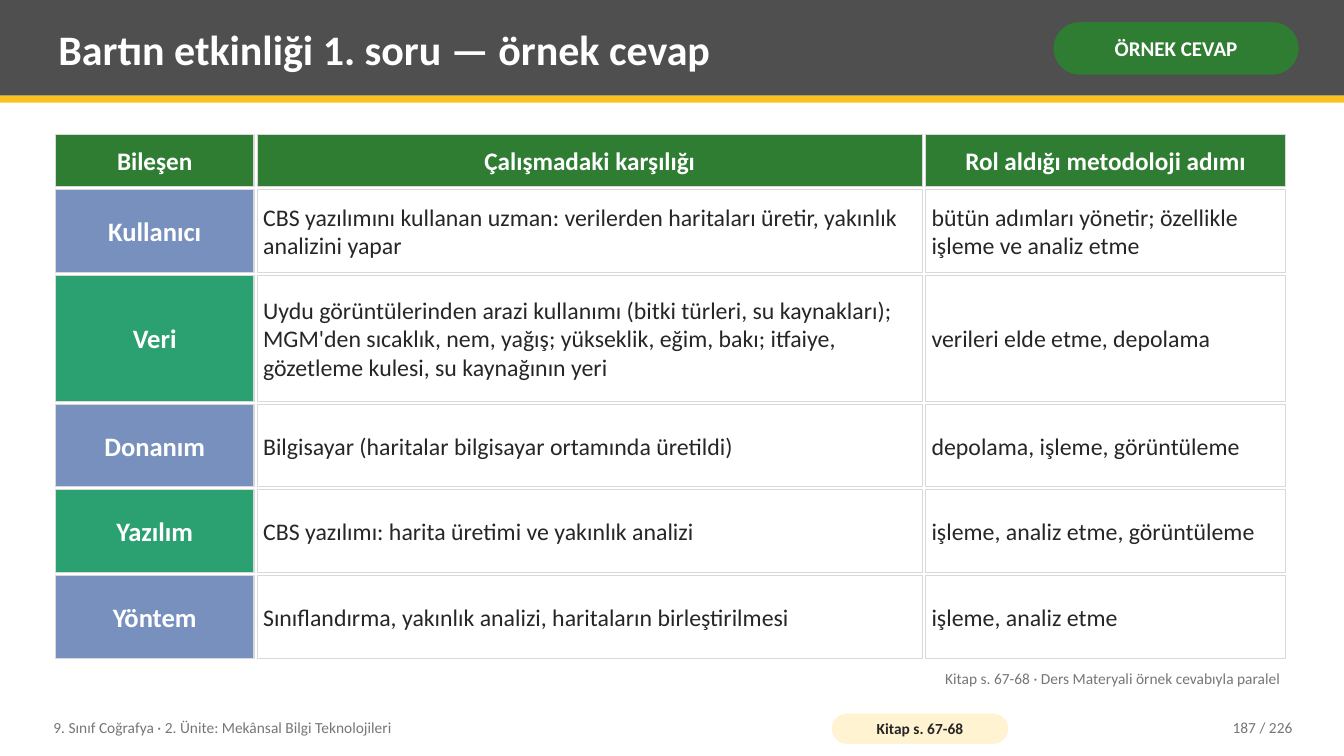
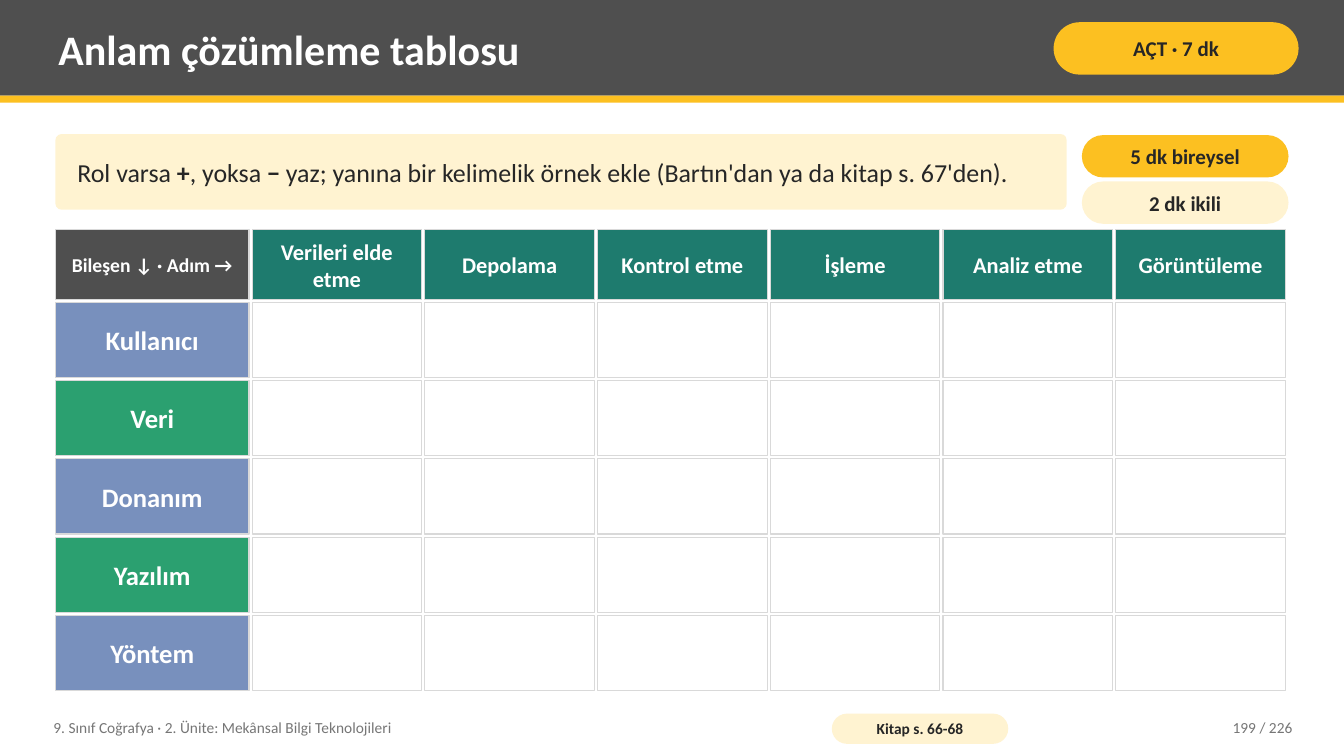
from itertools import accumulate

from pptx import Presentation
from pptx.dml.color import RGBColor
from pptx.enum.shapes import MSO_SHAPE
from pptx.enum.text import MSO_ANCHOR, PP_ALIGN
from pptx.util import Emu, Pt

RECT, ROUNDED = MSO_SHAPE.RECTANGLE, MSO_SHAPE.ROUNDED_RECTANGLE
TOP, MIDDLE = MSO_ANCHOR.TOP, MSO_ANCHOR.MIDDLE
LEFT, CENTER, RIGHT = PP_ALIGN.LEFT, PP_ALIGN.CENTER, PP_ALIGN.RIGHT

PX = 9144  # 100 px to the inch
FONT = "Calibri"
COLORS = {
    "band": "4F4F4F", "yellow": "FCC021", "cream": "FFF3D1", "green": "2E7D32",
    "teal": "1E7B6E", "blue": "7890BD", "mint": "2BA070", "white": "FFFFFF",
    "ink": "262626", "muted": "767676", "grid": "D9D9D9",
}
GRID_LEFT, GRID_RIGHT, GAP = 55, 1275, 3

# Content
UNIT = "9. Sınıf Coğrafya · 2. Ünite: Mekânsal Bilgi Teknolojileri"
PAGE_TOTAL = 226
COMPONENTS = ["Kullanıcı", "Veri", "Donanım", "Yazılım", "Yöntem"]

ANSWER = {
    "title": "Bartın etkinliği 1. soru — örnek cevap",
    "badge": ("ÖRNEK CEVAP", "green", "white"),
    "book": "Kitap s. 67-68",
    "number": 187,
}
ANSWER_HEADERS = ["Bileşen", "Çalışmadaki karşılığı", "Rol aldığı metodoloji adımı"]
ANSWER_ROWS = [
    ("CBS yazılımını kullanan uzman: verilerden haritaları üretir, yakınlık analizini yapar",
     "bütün adımları yönetir; özellikle işleme ve analiz etme"),
    ("Uydu görüntülerinden arazi kullanımı (bitki türleri, su kaynakları); MGM'den sıcaklık, "
     "nem, yağış; yükseklik, eğim, bakı; itfaiye, gözetleme kulesi, su kaynağının yeri",
     "verileri elde etme, depolama"),
    ("Bilgisayar (haritalar bilgisayar ortamında üretildi)", "depolama, işleme, görüntüleme"),
    ("CBS yazılımı: harita üretimi ve yakınlık analizi", "işleme, analiz etme, görüntüleme"),
    ("Sınıflandırma, yakınlık analizi, haritaların birleştirilmesi", "işleme, analiz etme"),
]
ANSWER_SOURCE = "Kitap s. 67-68 · Ders Materyali örnek cevabıyla paralel"

ANALYSIS = {
    "title": "Anlam çözümleme tablosu",
    "badge": ("AÇT · 7 dk", "yellow", "ink"),
    "book": "Kitap s. 66-68",
    "number": 199,
}
ANALYSIS_CORNER = "Bileşen ↓ · Adım →"
STEPS = ["Verileri elde etme", "Depolama", "Kontrol etme", "İşleme", "Analiz etme", "Görüntüleme"]
INSTRUCTION = [
    ("Rol varsa ", False), ("+", True), (", yoksa ", False), ("−", True),
    (" yaz; yanına bir kelimelik örnek ekle (Bartın'dan ya da kitap s. 67'den).", False),
]
TIMINGS = [("5 dk bireysel", "yellow"), ("2 dk ikili", "cream")]


def rgb(name):
    return RGBColor.from_string(COLORS[name])


def to_emu(bounds):
    return [Emu(round(length * PX)) for length in bounds]


def write(shape, text, size, color, bold=False, align=LEFT, inset=(8, 4), anchor=MIDDLE):
    """Fill a shape with one paragraph; text is a string or (text, bold) pairs."""
    frame = shape.text_frame
    frame.word_wrap = True
    frame.vertical_anchor = anchor
    frame.margin_left = frame.margin_right = Emu(inset[0] * PX)
    frame.margin_top = frame.margin_bottom = Emu(inset[1] * PX)
    para = frame.paragraphs[0]
    para.alignment = align
    para.font.name = FONT
    para.font.size = Pt(size)
    para.font.bold = bold
    para.font.color.rgb = rgb(color)
    for words, strong in [(text, bold)] if isinstance(text, str) else text:
        span = para.add_run()
        span.text = words
        if strong != bold:
            span.font.bold = strong


def add_box(page, bounds, fill, kind=RECT, rounding=0.5, line=None):
    shape = page.shapes.add_shape(kind, *to_emu(bounds))
    shape.shadow.inherit = False
    shape.fill.solid()
    shape.fill.fore_color.rgb = rgb(fill)
    if line:
        shape.line.color.rgb = rgb(line)
        shape.line.width = Pt(0.75)
    else:
        shape.line.fill.background()
    if kind == ROUNDED:
        shape.adjustments[0] = rounding
    return shape


def add_pill(page, bounds, text, fill, size, color="ink", inset=(4, 0)):
    write(add_box(page, bounds, fill, ROUNDED), text, size, color, True, CENTER, inset)


def add_text(page, bounds, text, size, color, **options):
    write(page.shapes.add_textbox(*to_emu(bounds)), text, size, color, **options)


def share(total, count):
    """Equal lengths that fill the total with a gap between neighbours."""
    return [(total - GAP * (count - 1)) / count] * count


def starts(first, lengths):
    return accumulate([first] + [length + GAP for length in lengths[:-1]])


def add_grid(page, top, widths, heights, headers, rows, header_fills, header_sizes):
    """Spaced cells: a header row, alternating component labels and white cells."""
    lines = [headers] + [(name, *cells) for name, cells in zip(COMPONENTS, rows)]
    for r, (line, y, height) in enumerate(zip(lines, starts(top, heights), heights)):
        for c, (text, x, width) in enumerate(zip(line, starts(GRID_LEFT, widths), widths)):
            if r == 0:
                fill, size = header_fills[c], header_sizes[c]
            elif c == 0:
                fill, size = ("mint", "blue")[r % 2], 19
            else:
                fill, size = "white", 17
            heading = r == 0 or c == 0
            cell = add_box(page, (x, y, width, height), fill, line="grid")
            if text:
                write(cell, text, size, "white" if heading else "ink", heading,
                      CENTER if heading else LEFT, (6, 2))


def add_page(deck, info):
    """Blank page with the shared title band, badge and footer."""
    page = deck.slides.add_slide(deck.slide_layouts[6])
    add_box(page, (0, 0, 1333, 95), "band")
    add_box(page, (0, 95, 1333, 7), "yellow")
    add_text(page, (50, 7, 975, 82), info["title"], 30, "white", bold=True)
    badge, fill, color = info["badge"]
    add_pill(page, (1045, 22, 243, 52), badge, fill, 15, color, (5, 2))
    add_text(page, (45, 704, 760, 36), UNIT, 11, "muted")
    add_pill(page, (825, 708, 175, 30), info["book"], "cream", 11)
    add_text(page, (1130, 704, 160, 36), f"{info['number']} / {PAGE_TOTAL}", 11, "muted",
             align=RIGHT)
    return page


def build_answer(deck):
    page = add_page(deck, ANSWER)
    add_grid(page, 133, [197, 660, 357], [52, 82, 125, 82, 82, 82],
             ANSWER_HEADERS, ANSWER_ROWS, ["green"] * 3, [18] * 3)
    add_text(page, (55, 660, 1223, 30), ANSWER_SOURCE, 11, "muted", align=RIGHT, anchor=TOP)


def build_analysis(deck):
    page = add_page(deck, ANALYSIS)
    # Instruction and timings
    panel = add_box(page, (55, 133, 1003, 75), "cream", ROUNDED, 0.08)
    write(panel, INSTRUCTION, 18.5, "ink", inset=(20, 8))
    for i, (text, fill) in enumerate(TIMINGS):
        add_pill(page, (1073, 134 + 46 * i, 205, 42), text, fill, 15, inset=(3, 0))
    # Empty grid to fill in
    count, label_width, header_height, top, bottom = len(STEPS), 192, 69, 228, 685
    step_widths = share(GRID_RIGHT - GRID_LEFT - label_width - GAP, count)
    row_heights = share(bottom - top - header_height - GAP, len(COMPONENTS))
    add_grid(page, top, [label_width] + step_widths, [header_height] + row_heights,
             [ANALYSIS_CORNER] + STEPS, [[""] * count] * len(COMPONENTS),
             ["band"] + ["teal"] * count, [14] + [16] * count)


def main():
    deck = Presentation()
    deck.slide_width, deck.slide_height = to_emu((1333, 750))
    build_answer(deck)
    build_analysis(deck)
    deck.save("out.pptx")


if __name__ == "__main__":
    main()
